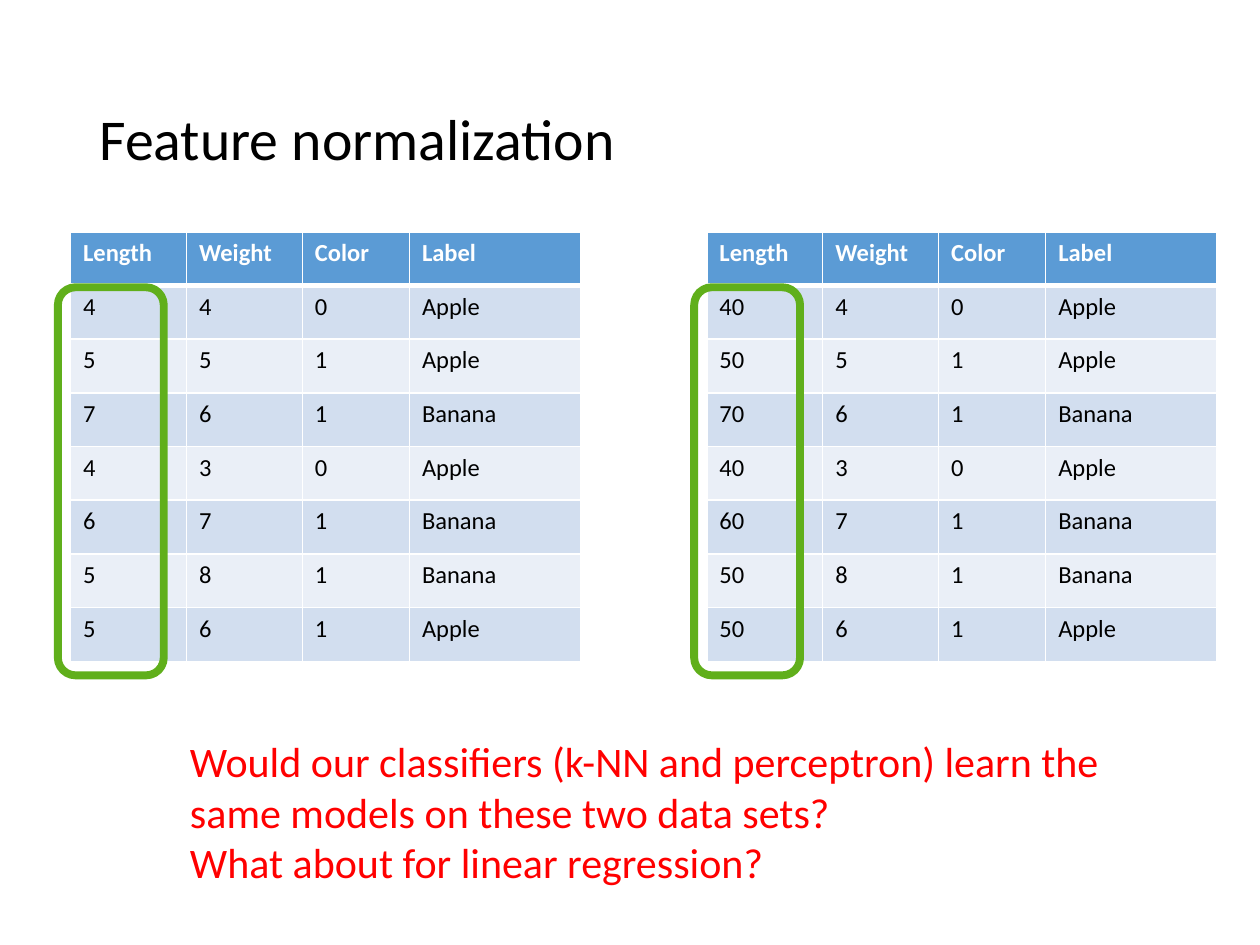
from lxml import etree
from pptx import Presentation
from pptx.dml.color import RGBColor
from pptx.enum import shapes, text
from pptx.oxml.ns import qn
from pptx.util import Inches, Pt

# Content
TITLE = "Feature normalization"
HEADER = ("Length", "Weight", "Color", "Label")
FRUITS = [
    (4, 4, 0, "Apple"),
    (5, 5, 1, "Apple"),
    (7, 6, 1, "Banana"),
    (4, 3, 0, "Apple"),
    (6, 7, 1, "Banana"),
    (5, 8, 1, "Banana"),
    (5, 6, 1, "Apple"),
]
QUESTIONS = [
    "Would our classifiers (k-NN and perceptron) learn the same models on these two data sets?",
    "What about for linear regression?",
]
DATA_SETS = [(0.56, 1), (5.61, 10)]  # table left, scale of the length column

THEME = {
    "font": "Calibri", "title": 33, "cell": 14, "question": 24,
    "black": "000000", "white": "FFFFFF", "red": "FF0000", "green": "60AF1B",
    "header": "5B9BD5", "bands": ("D2DEEF", "EAEFF7"),
}

# Layout
TABLE_TOP, TABLE_HEIGHT = 1.84, 3.41
COLUMN_WIDTHS = (0.92, 0.92, 0.85, 1.36)
FRAME_OFFSET, FRAME_TOP, FRAME_WIDTH, FRAME_HEIGHT = -0.1, 2.28, 0.84, 3.08


def color(name):
    return RGBColor.from_string(THEME.get(name, name))


def style_text(frame, size, ink, bold=False):
    for para in frame.paragraphs:
        for span in para.runs:
            span.font.name = THEME["font"]
            span.font.size = Pt(THEME[size])
            span.font.color.rgb = color(ink)
            span.font.bold = bold


def add_borders(cell, **widths):
    properties = cell._tc.get_or_add_tcPr()
    for side in "LRTB":
        line = etree.SubElement(properties, qn(f"a:ln{side}"), w=str(Pt(widths.get(side, 1))))
        fill = etree.SubElement(line, qn("a:solidFill"))
        etree.SubElement(fill, qn("a:srgbClr"), val=THEME["white"])


def add_data_table(page, left, scale):
    rows = [HEADER] + [(length * scale, *rest) for length, *rest in FRUITS]
    table = page.shapes.add_table(
        len(rows), len(HEADER), Inches(left), Inches(TABLE_TOP),
        Inches(sum(COLUMN_WIDTHS)), Inches(TABLE_HEIGHT)).table
    for column, width in zip(table.columns, COLUMN_WIDTHS):
        column.width = Inches(width)
    for r, row in enumerate(rows):
        is_header = r == 0
        for c, value in enumerate(row):
            cell = table.cell(r, c)
            cell.text_frame.text = str(value)
            style_text(cell.text_frame, "cell", "white" if is_header else "black", is_header)
            add_borders(cell, B=3 if is_header else 1, T=3 if r == 1 else 1)
            cell.fill.solid()
            cell.fill.fore_color.rgb = color("header" if is_header else THEME["bands"][(r - 1) % 2])


def add_length_frame(page, table_left):
    frame = page.shapes.add_shape(
        shapes.MSO_SHAPE.ROUNDED_RECTANGLE, Inches(table_left + FRAME_OFFSET),
        Inches(FRAME_TOP), Inches(FRAME_WIDTH), Inches(FRAME_HEIGHT))
    frame.shadow.inherit = False
    frame.fill.background()
    frame.line.color.rgb = color("green")
    frame.line.width = Pt(4.5)


def main():
    deck = Presentation()
    deck.slide_width, deck.slide_height = Inches(10), Inches(7.5)
    page = deck.slides.add_slide(deck.slide_layouts[5])

    # Title
    title = page.shapes.title
    title.left, title.top, title.width, title.height = map(Inches, (0.69, 0.4, 8.62, 1.45))
    title.text_frame.text = TITLE
    title.text_frame.vertical_anchor = text.MSO_ANCHOR.MIDDLE
    title.text_frame.paragraphs[0].alignment = text.PP_ALIGN.LEFT
    title.text_frame.paragraphs[0].line_spacing = 0.9
    style_text(title.text_frame, "title", "black")

    # Both data sets
    for left, scale in DATA_SETS:
        add_data_table(page, left, scale)

    # Questions
    box = page.shapes.add_textbox(*map(Inches, (1.41, 5.79, 7.44, 1.31)))
    box.text_frame.word_wrap = True
    box.text_frame.text = "\n".join(QUESTIONS)
    style_text(box.text_frame, "question", "red")

    # Frames around the length columns
    for left, _ in DATA_SETS:
        add_length_frame(page, left)

    deck.save("out.pptx")


if __name__ == "__main__":
    main()
